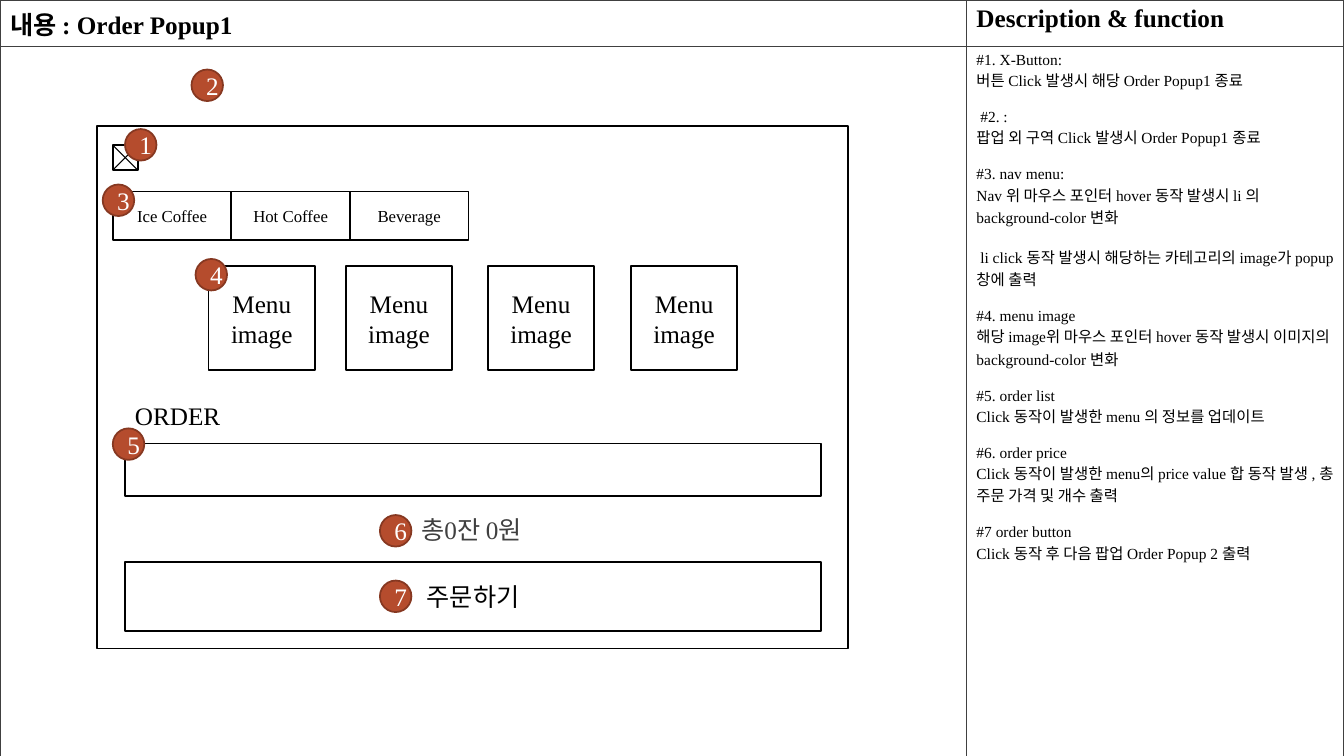
import lxml.etree
import pptx
import pptx.dml.color
import pptx.enum.shapes
import pptx.enum.text
import pptx.oxml
import pptx.oxml.ns
import pptx.util

Pt = pptx.util.Pt
SHAPES = pptx.enum.shapes.MSO_SHAPE
FONT = "Times New Roman"
BLACK, WHITE, GREY = "000000", "FFFFFF", "404040"
BADGE_FILL, BADGE_LINE = "B54C2D", "863821"

DESCRIPTION = [
    ["#1. X-Button:", "버튼 Click 발생시 해당 Order Popup1 종료"],
    [" #2. :", "팝업 외 구역 Click 발생시 Order Popup1 종료"],
    ["#3. nav menu:", "Nav 위 마우스 포인터 hover 동작 발생시 li 의 background-color 변화"],
    [" li click 동작 발생시 해당하는 카테고리의 image가 popup창에 출력"],
    ["#4. menu image", "해당 image위 마우스 포인터 hover 동작 발생시 이미지의 background-color 변화"],
    ["#5. order list", "Click 동작이 발생한 menu 의 정보를 업데이트"],
    ["#6. order price", "Click 동작이 발생한 menu의 price value 합 동작 발생 , 총 주문 가격 및 개수 출력"],
    ["#7 order button", "Click 동작 후 다음 팝업 Order Popup 2 출력"],
]
NAV_ITEMS = ["Ice Coffee", "Hot Coffee", "Beverage"]
MENU_LEFTS = [149, 247, 348.5, 450.7]
BADGES = [(89.3, 92.2), (136.8, 49.7), (73.4, 131.8), (139.7, 185),
          (80.6, 306), (271.4, 367.9), (271.4, 414.7)]


def rgb(value):
    return pptx.dml.color.RGBColor.from_string(value)


def style_text(frame, size, color=BLACK, bold=False, align=None):
    for para in frame.paragraphs:
        para.alignment = align
        for span in para.runs:
            span.font.name = FONT
            span.font.size = Pt(size)
            span.font.bold = bold
            span.font.color.rgb = rgb(color)


def add_block(shapes, kind, left, top, width, height, text="", size=18,
              fill=WHITE, line=BLACK, color=BLACK):
    block = shapes.add_shape(kind, Pt(left), Pt(top), Pt(width), Pt(height))
    block.shadow.inherit = False
    block.fill.solid()
    block.fill.fore_color.rgb = rgb(fill)
    block.line.color.rgb = rgb(line)
    block.line.width = Pt(1.25)
    if text:
        block.text_frame.text = text
        style_text(block.text_frame, size, color,
                   align=pptx.enum.text.PP_ALIGN.CENTER)
        block.text_frame.vertical_anchor = pptx.enum.text.MSO_ANCHOR.MIDDLE


def add_label(shapes, left, top, width, text, color):
    box = shapes.add_textbox(Pt(left), Pt(top), Pt(width), Pt(29))
    box.text_frame.word_wrap = True
    box.text_frame.text = text
    style_text(box.text_frame, 18, color)


def add_line(shapes, start_x, start_y, end_x, end_y):
    line = shapes.add_connector(pptx.enum.shapes.MSO_CONNECTOR.STRAIGHT,
                                Pt(start_x), Pt(start_y), Pt(end_x), Pt(end_y))
    line.line.color.rgb = rgb(BLACK)
    line.line.width = Pt(0.75)
    properties = line._element.spPr
    lxml.etree.SubElement(properties, pptx.oxml.ns.qn("a:effectLst"))


def add_close_button(shapes, left, top, size):
    button = shapes.add_group_shape().shapes
    right, bottom = left + size, top + size
    add_block(button, SHAPES.RECTANGLE, left, top, size, size)
    add_line(button, left, top, right, bottom)
    add_line(button, left, bottom, right, top)


def style_cell(cell):
    cell.fill.solid()
    cell.fill.fore_color.rgb = rgb(WHITE)
    properties = cell._tc.get_or_add_tcPr()
    namespace = pptx.oxml.ns.nsdecls("a")
    for position, side in enumerate(["lnL", "lnR", "lnT", "lnB"]):
        properties.insert(position, pptx.oxml.parse_xml(
            f'<a:{side} {namespace} w="12700"><a:solidFill>'
            f'<a:srgbClr val="{GREY}"/></a:solidFill></a:{side}>'))


def add_page_table(shapes):
    table = shapes.add_table(2, 2, 0, 0, Pt(960), Pt(540)).table
    for column, width in zip(table.columns, [690.3, 269.7]):
        column.width = Pt(width)
    for row, height in zip(table.rows, [28.8, 511.2]):
        row.height = Pt(height)
    for cell in table.iter_cells():
        style_cell(cell)
    for index, heading in enumerate(["내용 : Order Popup1", "Description & function"]):
        frame = table.cell(0, index).text_frame
        frame.text = heading
        style_text(frame, 18, bold=True)
    frame = table.cell(1, 1).text_frame
    frame.text = "\n".join("\n".join(lines) for lines in DESCRIPTION)
    style_text(frame, 11)
    first = 0
    for lines in DESCRIPTION:
        if first:
            frame.paragraphs[first].space_before = Pt(12.6)
        first += len(lines)


def main():
    deck = pptx.Presentation()
    deck.slide_width, deck.slide_height = Pt(960), Pt(540)
    shapes = deck.slides.add_slide(deck.slide_layouts[6]).shapes
    add_page_table(shapes)
    add_block(shapes, SHAPES.RECTANGLE, 69.1, 90, 536.4, 373.3)
    add_close_button(shapes, 80.6, 103.7, 17.8)
    for index, item in enumerate(NAV_ITEMS):
        add_block(shapes, SHAPES.RECTANGLE, 80.6 + 84.7 * index, 136.8,
                  84.7, 34.6, item, 12)
    for left in MENU_LEFTS:
        add_block(shapes, SHAPES.RECTANGLE, left, 190, 76, 74.4, "Menu\nimage")
    add_label(shapes, 89.3, 282.2, 101.5, "ORDER", BLACK)
    add_block(shapes, SHAPES.RECTANGLE, 89.3, 316.8, 497.3, 37.4)
    add_block(shapes, SHAPES.RECTANGLE, 89.3, 401.6, 497.3, 49, "주문하기")
    add_label(shapes, 293.8, 363.6, 110.2, "총0잔 0원", GREY)
    for number, (left, top) in enumerate(BADGES, 1):
        add_block(shapes, SHAPES.OVAL, left, top, 22.5, 22.5, str(number),
                  fill=BADGE_FILL, line=BADGE_LINE, color=WHITE)


    deck.save("out.pptx")


if __name__ == "__main__":
    main()
